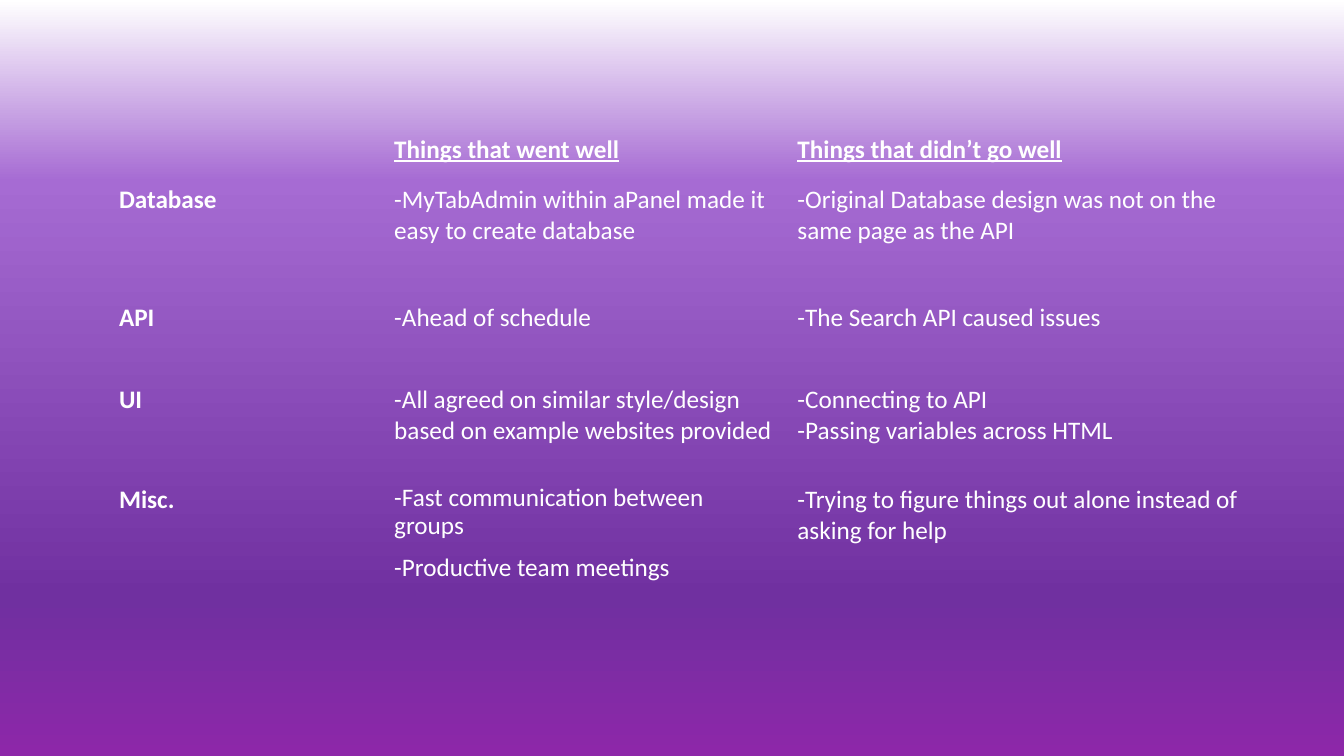
from copy import deepcopy

from pptx import Presentation
from pptx.dml.color import RGBColor
from pptx.util import Pt

ROWS = [
    ("", "Things that went well", "Things that didn’t go well"),
    ("Database", "-MyTabAdmin within aPanel made it easy to create database",
     "-Original Database design was not on the same page as the API"),
    ("API", "-Ahead of schedule", "-The Search API caused issues"),
    ("UI", "-All agreed on similar style/design based on example websites provided",
     "-Connecting to API\n-Passing variables across HTML"),
    ("Misc.", "-Fast communication between groups\n-Productive team meetings",
     "-Trying to figure things out alone instead of asking for help"),
]
COLUMN_WIDTHS = (196.6, 288, 335.5)
ROW_HEIGHTS = (36, 84.2, 59, 71.3, 146.2)
TABLE_LEFT, TABLE_TOP = 77.8, 92.2
BACKGROUND_STOPS = [(0, "FFFFFF"), (0.24, "A66BD3"), (0.79, "7030A0"), (1, "8D27A9")]
NO_GRID_STYLE = "{2D5ABB26-0587-4C30-8999-92F81FD0307C}"
SPACED_CELL = (4, 1)


def color(value):
    return RGBColor.from_string(value)


def paint_background(slide):
    fill = slide.background.fill
    fill.gradient()
    fill.gradient_angle = 270
    stop_list = slide.element.xpath(".//a:gsLst")[0]
    while len(stop_list) < len(BACKGROUND_STOPS):
        stop_list.append(deepcopy(stop_list[0]))
    for stop, (position, value) in zip(fill.gradient_stops, BACKGROUND_STOPS):
        stop.position = position
        stop.color.rgb = color(value)


def fill_cell(cell, text, row, column):
    cell.fill.background()
    cell.text_frame.text = text
    for paragraph in cell.text_frame.paragraphs:
        if (row, column) == SPACED_CELL:
            paragraph.line_spacing = 0.9
            paragraph.space_before = Pt(10)
        for run in paragraph.runs:
            run.font.name = "Calibri"
            run.font.size = Pt(18)
            run.font.color.rgb = color("FFFFFF")
            run.font.bold = row == 0 or column == 0
            run.font.underline = row == 0


def add_review_table(slide):
    frame = slide.shapes.add_table(
        len(ROWS), len(COLUMN_WIDTHS), Pt(TABLE_LEFT), Pt(TABLE_TOP),
        Pt(sum(COLUMN_WIDTHS)), Pt(sum(ROW_HEIGHTS)))
    table = frame.table
    table.first_row = False
    table.horz_banding = False
    frame.element.xpath(".//a:tableStyleId")[0].text = NO_GRID_STYLE
    for column, width in zip(table.columns, COLUMN_WIDTHS):
        column.width = Pt(width)
    for row, height in zip(table.rows, ROW_HEIGHTS):
        row.height = Pt(height)
    for row, texts in enumerate(ROWS):
        for column, text in enumerate(texts):
            fill_cell(table.cell(row, column), text, row, column)


def main():
    presentation = Presentation()
    presentation.slide_width, presentation.slide_height = Pt(960), Pt(540)
    slide = presentation.slides.add_slide(presentation.slide_layouts[6])
    paint_background(slide)
    add_review_table(slide)
    presentation.save("out.pptx")


if __name__ == "__main__":
    main()
